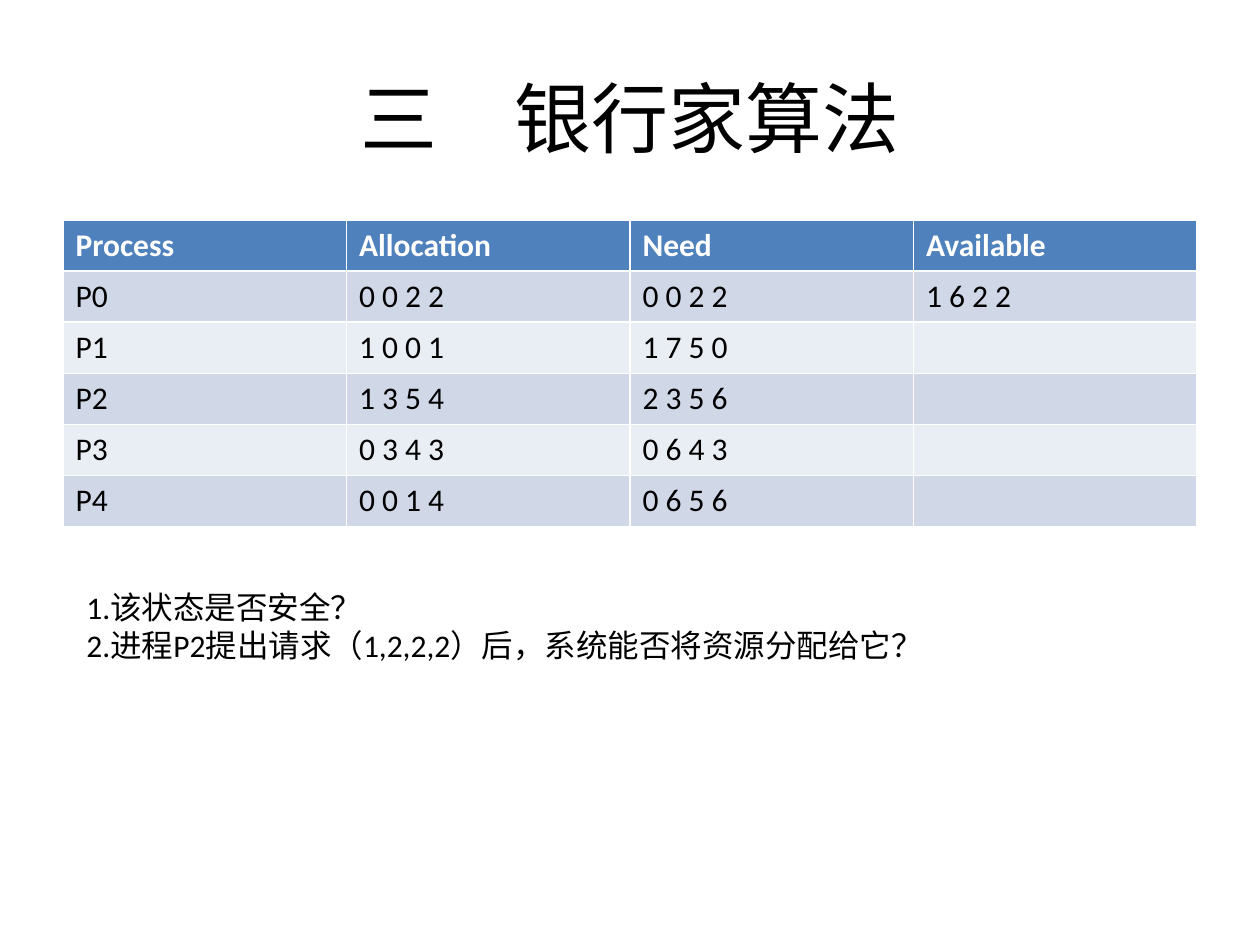
"""Build the banker's algorithm slide with its resource table and questions."""
from pptx import Presentation
from pptx import util as u
from pptx.dml.color import RGBColor
from pptx.enum import text

TITLE = "三　银行家算法"
HEADER = ("Process", "Allocation", "Need", "Available")
PROCESSES = [
    ("P0", "0 0 2 2", "0 0 2 2", "1 6 2 2"),
    ("P1", "1 0 0 1", "1 7 5 0", ""),
    ("P2", "1 3 5 4", "2 3 5 6", ""),
    ("P3", "0 3 4 3", "0 6 4 3", ""),
    ("P4", "0 0 1 4", "0 6 5 6", ""),
]
QUESTIONS = [
    "1.该状态是否安全？",
    "2.进程P2提出请求（1,2,2,2）后，系统能否将资源分配给它？",
]
THEME = {
    "font": "Calibri", "title": 44, "body": 18,
    "ink": "000000", "paper": "FFFFFF",
    "header": "4F81BD", "bands": ("D0D8E8", "E9EDF4"),
}
TITLE_BOX = (63, 38, 1134, 157)
TABLE_BOX = (63, 220, 1134, 306)
QUESTION_BOX = (74, 582, 871, 89)


def px(n):
    return u.Emu(n * u.Inches(1) // 126)


def box(rect):
    return [px(n) for n in rect]


def style(p, size="body", color="ink", **extra):
    values = {"name": THEME["font"], "size": u.Pt(THEME[size]), **extra}
    for name, value in values.items():
        setattr(p.font, name, value)
    p.font.color.rgb = RGBColor.from_string(THEME[color])


def add_title(s):
    sp = s.shapes.title
    for name, value in zip(("left", "top", "width", "height"), box(TITLE_BOX)):
        setattr(sp, name, value)
    tf = sp.text_frame
    tf.text = TITLE
    tf.vertical_anchor = text.MSO_ANCHOR.MIDDLE
    p = tf.paragraphs[0]
    p.alignment = text.PP_ALIGN.CENTER
    style(p, "title")


def add_process_table(s):
    rows = [HEADER, *PROCESSES]
    table = s.shapes.add_table(len(rows), len(HEADER), *box(TABLE_BOX)).table
    for i, row in enumerate(rows):
        fill = THEME["bands"][(i - 1) % 2] if i else THEME["header"]
        for j, value in enumerate(row):
            cell = table.cell(i, j)
            cell.text = value
            cell.fill.solid()
            cell.fill.fore_color.rgb = RGBColor.from_string(fill)
            style(cell.text_frame.paragraphs[0],
                  color="ink" if i else "paper", bold=i == 0)


def add_questions(s):
    tf = s.shapes.add_textbox(*box(QUESTION_BOX)).text_frame
    tf.word_wrap = False
    tf.auto_size = text.MSO_AUTO_SIZE.SHAPE_TO_FIT_TEXT
    tf.text = "\n".join(QUESTIONS)
    for p in tf.paragraphs:
        style(p)


def main():
    prs = Presentation()
    prs.slide_width, prs.slide_height = px(1260), px(945)
    s = prs.slides.add_slide(prs.slide_layouts.get_by_name("Title Only"))
    add_title(s)
    add_process_table(s)
    add_questions(s)
    prs.save("out.pptx")


if __name__ == "__main__":
    main()
